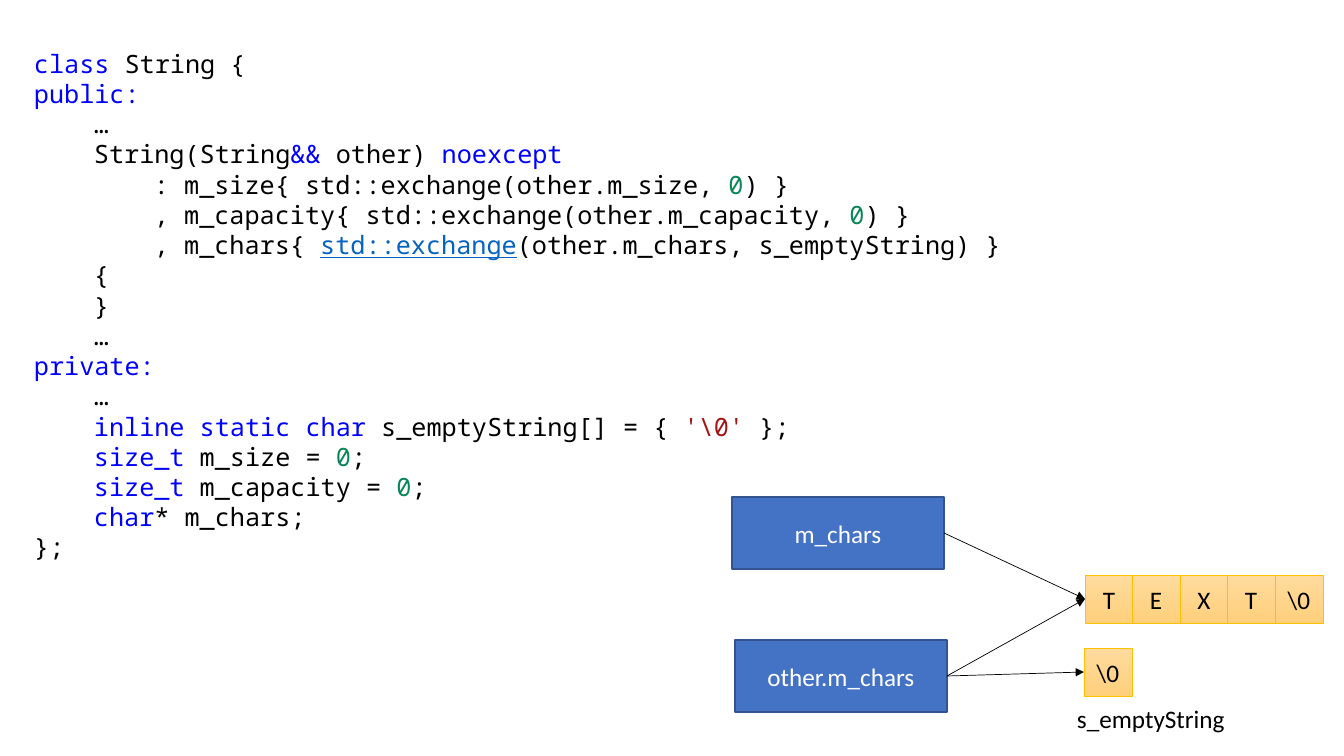
"""Draw the slide on the String move constructor and its buffers."""
from lxml.etree import SubElement as Sub
from pptx import Presentation
from pptx.dml.color import RGBColor as RGB
from pptx.enum.shapes import MSO_CONNECTOR as LINK, MSO_SHAPE as SHAPE
from pptx.enum.text import MSO_ANCHOR as ANCHOR, PP_ALIGN as ALIGN
from pptx.oxml.ns import qn
from pptx.util import Emu, Pt

HUES = {
    "plain": "000000", "key": "0000FF", "num": "098658", "str": "A31515",
    "link": "0563C1", "box": "4472C4", "rim": "325491", "white": "FFFFFF",
    "pale": "FFDB9E", "deep": "FFD07C", "gold": "FFC000",
}

CODE = [
    (0, [("key", "class"), ("plain", " String {")]),
    (0, [("key", "public:")]),
    (1, [("plain", "…")]),
    (1, [("plain", "String(String"), ("key", "&&"), ("plain", " other) "),
         ("key", "noexcept")]),
    (2, [("plain", ": m_size{ std::exchange(other.m_size, "), ("num", "0"),
         ("plain", ") }")]),
    (2, [("plain", ", m_capacity{ std::exchange(other.m_capacity, "),
         ("num", "0"), ("plain", ") }")]),
    (2, [("plain", ", m_chars{ "), ("link", "std::exchange"),
         ("plain", "(other.m_chars, s_emptyString) }")]),
    (1, [("plain", "{")]),
    (1, [("plain", "}")]),
    (1, [("plain", "…")]),
    (0, [("key", "private:")]),
    (1, [("plain", "…")]),
    (1, [("key", "inline static char "), ("plain", "s_emptyString[] = { "),
         ("str", "'\\0'"), ("plain", " };")]),
    (1, [("key", "size_t "), ("plain", "m_size = "), ("num", "0"),
         ("plain", ";")]),
    (1, [("key", "size_t "), ("plain", "m_capacity = "), ("num", "0"),
         ("plain", ";")]),
    (1, [("key", "char"), ("plain", "* m_chars;")]),
    (0, [("plain", "};")]),
]


def px(n):
    return Emu(round(n * 914400 / 100.8))


def hue(name):
    return RGB.from_string(HUES[name])


class Pen:
    """Hold the slide and its style, and draw each kind of element."""

    def __init__(self, slide):
        self.shapes = slide.shapes
        self.font, self.mono = "Calibri", "Noto Sans Mono"
        self.size = Pt(18)
        self.pitch = Pt(21.6)
        self.tab = 60

    def put(self, para, text, tone, face=None):
        run = para.add_run()
        run.text = text
        font = run.font
        font.name, font.size = face or self.font, self.size
        font.color.rgb = hue(tone)
        if tone == "link":
            font.underline = True

    def frame(self, left, top, width, height):
        area = self.shapes.add_textbox(px(left), px(top), px(width), px(height))
        area.text_frame.word_wrap = True
        return area.text_frame

    def label(self, text, *spot):
        self.put(self.frame(*spot).paragraphs[0], text, "plain")

    def code(self, lines, *spot):
        frame = self.frame(*spot)
        for i, (depth, parts) in enumerate(lines):
            para = frame.add_paragraph() if i else frame.paragraphs[0]
            para.line_spacing = self.pitch
            props = para._p.get_or_add_pPr()
            props.set("marL", str(px(self.tab * depth)))
            props.set("indent", "0")
            for tone, text in parts:
                self.put(para, text, tone, self.mono)

    def rect(self, home, text, tone, rim, weight, *spot):
        shape = home.add_shape(SHAPE.RECTANGLE, *map(px, spot))
        shape.shadow.inherit = False
        shape.line.color.rgb = hue(rim)
        shape.line.width = Pt(weight)
        frame = shape.text_frame
        frame.vertical_anchor = ANCHOR.MIDDLE
        frame.word_wrap = False
        para = frame.paragraphs[0]
        para.alignment = ALIGN.CENTER
        self.put(para, text, tone)
        return shape

    def box(self, text, left, top):
        shape = self.rect(self.shapes, text, "white", "rim", 1,
                          left, top, 212, 72)
        shape.fill.solid()
        shape.fill.fore_color.rgb = hue("box")
        return shape

    def cell(self, home, text, left, top):
        shape = self.rect(home, text, "plain", "gold", 0.5, left, top, 48, 48)
        fill = shape.fill
        fill.gradient()
        fill.gradient_angle = 270
        for stop, tone in zip(fill.gradient_stops, ("pale", "deep")):
            stop.color.rgb = hue(tone)
        return shape

    def row(self, texts, left, top, span):
        group = self.shapes.add_group_shape()
        return [self.cell(group.shapes, text, left + span * i // len(texts), top)
                for i, text in enumerate(texts)]

    def arrow(self, start, end):
        line = self.shapes.add_connector(LINK.STRAIGHT, 0, 0, 0, 0)
        line.begin_connect(start, 3)
        line.end_connect(end, 1)
        line.line.color.rgb = hue("plain")
        line.line.width = Pt(0.5)
        Sub(line.line._get_or_add_ln(), qn("a:tailEnd"), type="triangle")
        Sub(line._element.spPr, qn("a:effectLst"))


def main():
    deck = Presentation()
    deck.slide_width, deck.slide_height = px(1344), px(756)
    pen = Pen(deck.slides.add_slide(deck.slide_layouts[6]))
    pen.code(CODE, 24, 43, 1252, 529)
    chars = pen.box("m_chars", 732, 497)
    other = pen.box("other.m_chars", 735, 640)
    text = pen.row(["T", "E", "X", "T", "\\0"], 1085, 575, 238)
    blank = pen.cell(pen.shapes, "\\0", 1084, 648)
    pen.label("s_emptyString", 1067, 698, 183, 40)
    for start, end in ((other, text[0]), (other, blank), (chars, text[0])):
        pen.arrow(start, end)
    deck.save("out.pptx")


if __name__ == "__main__":
    main()
